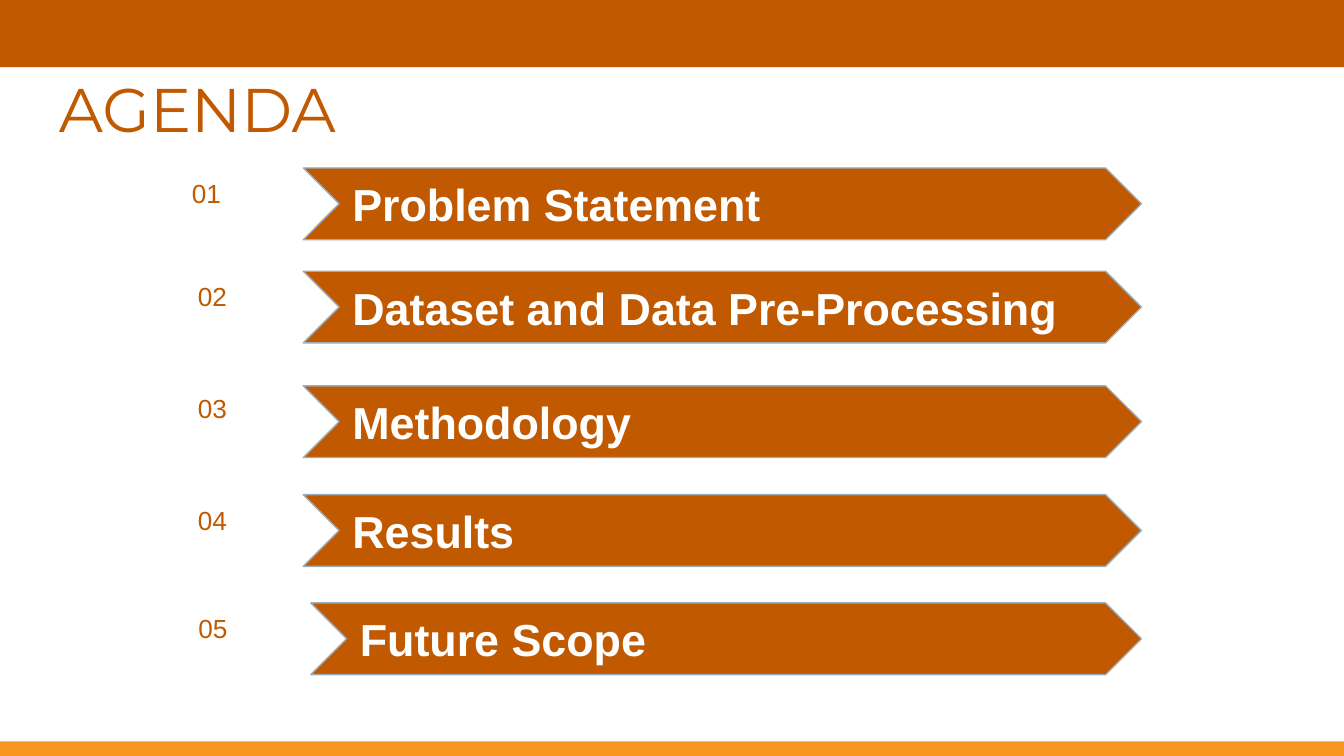
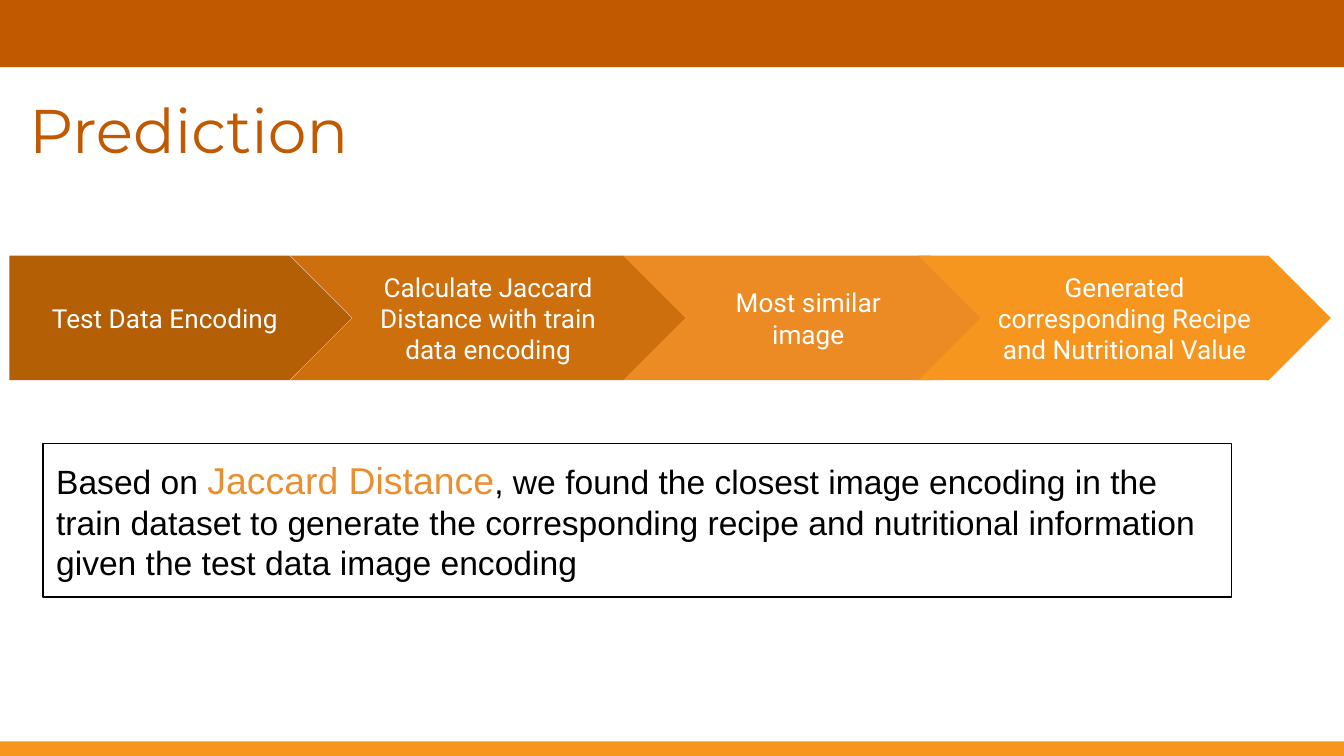
from pptx import Presentation
from pptx.dml.color import RGBColor as RGB
from pptx.enum.shapes import MSO_SHAPE as Kind
from pptx.enum.text import MSO_ANCHOR as Anchor, PP_ALIGN as Align
from pptx.util import Pt

RUST, AMBER, WHITE, BLACK = "C05900", "F7961F", "FFFFFF", "000000"
WIDE, HIGH = 720, 405


def paint(part, tone):
    """Give a fill a solid colour."""
    part.solid()
    part.fore_color.rgb = RGB.from_string(tone)


def shape(slide, kind, box, fill=None, line=None):
    """Add a flat shape with an optional fill and outline."""
    item = slide.shapes.add_shape(kind, *map(Pt, box))
    item.shadow.inherit = False
    if fill:
        paint(item.fill, fill)
    else:
        item.fill.background()
    if line:
        paint(item.line.fill, line)
        item.line.width = Pt(0.75)
    else:
        item.line.fill.background()
    return item


def write(item, runs, font, align=Align.LEFT, anchor=Anchor.TOP, pad=7.2, lead=None):
    """Write one paragraph from (text, size, colour, bold) runs."""
    frame = item.text_frame
    frame.word_wrap = True
    frame.vertical_anchor = anchor
    frame.margin_left = frame.margin_right = Pt(7.2)
    frame.margin_top = frame.margin_bottom = Pt(pad)
    para = frame.paragraphs[0]
    para.alignment = align
    if lead:
        para.line_spacing = lead
    for text, size, tone, bold in runs:
        run = para.add_run()
        run.text = text
        run.font.name, run.font.size, run.font.bold = font, Pt(size), bold
        paint(run.font.fill, tone)


def label(slide, box, *args, **more):
    """Add a plain text box."""
    write(slide.shapes.add_textbox(*map(Pt, box)), *args, **more)


def page(deck, title, box):
    """Add a slide with its bands and title."""
    slide = deck.slides.add_slide(deck.slide_layouts[6])
    shape(slide, Kind.RECTANGLE, (0, 0, WIDE, 36), RUST)
    shape(slide, Kind.RECTANGLE, (0, HIGH - 7.8, WIDE, 7.8), AMBER)
    label(slide, box, [(title, 33, RUST, False)], "Montserrat", pad=3.6, lead=0.9)
    return slide


def agenda(slide, box, rows):
    """Place numbered chevrons at the given row offsets."""
    left, top, width, high = box
    for num, (text, drop, lift, inset, span) in enumerate(rows, 1):
        y = top + drop
        start = left + 73.2 + inset
        bar = shape(slide, Kind.CHEVRON, (start, y, left + width - start, high),
                    RUST, "9CACB6")
        write(bar, [(text, 24, WHITE, True)], "Arial", anchor=Anchor.MIDDLE)
        label(slide, (left, y - lift, span, high), [(f"{num:02}", 14, RUST, False)],
              "Arial", Align.CENTER, pad=5)


def flow(slide, box, steps):
    """Place overlapping arrow steps along a band."""
    left, top, high = box
    for num, (text, shift, width, tone) in enumerate(steps):
        kind = Kind.CHEVRON if num else Kind.PENTAGON
        step = shape(slide, kind, (left + shift, top, width, high), tone)
        write(step, [(text, 14, WHITE, False)], "Roboto", Align.CENTER, Anchor.MIDDLE)


def note(slide, box, runs):
    """Add a framed note."""
    write(shape(slide, Kind.RECTANGLE, box, line=BLACK), runs, "Arial")


def main():
    """Build both slides and save the deck."""
    deck = Presentation()
    deck.slide_width, deck.slide_height = Pt(WIDE), Pt(HIGH)

    slide = page(deck, "AGENDA", (24.5, 39, 671, 55.5))
    agenda(slide, (89.3, 90, 522.2, 38.4), [
        ("Problem Statement", 0, 0, 0, 42.5),
        ("Dataset and Data Pre-Processing", 55.3, 0, 0, 49),
        ("Methodology", 116.7, 1.5, 0, 49),
        ("Results", 175, 0, 0, 49),
        ("Future Scope", 233, 0, 4, 49.5),
    ])

    slide = page(deck, "Prediction", (8.6, 50.4, 700.5, 55.5))
    flow(slide, (5, 137, 66.7), [
        ("Test Data Encoding", 0, 183.5, "B45F06"),
        ("Calculate Jaccard Distance with train data encoding", 150.5, 212, "CE6F0D"),
        ("Most similar image", 329, 198, "EC8B24"),
        ("Generated corresponding Recipe and Nutritional Value", 487, 221, AMBER),
    ])
    note(slide, (23, 237.5, 636.8, 82.4), [
        ("Based on ", 18, BLACK, False),
        ("Jaccard Distance", 20, "E98F30", False),
        (", we found the closest image encoding in the train dataset to generate "
         "the corresponding recipe and nutritional information given the test data "
         "image encoding", 18, BLACK, False),
    ])
    deck.save("out.pptx")


if __name__ == "__main__":
    main()
